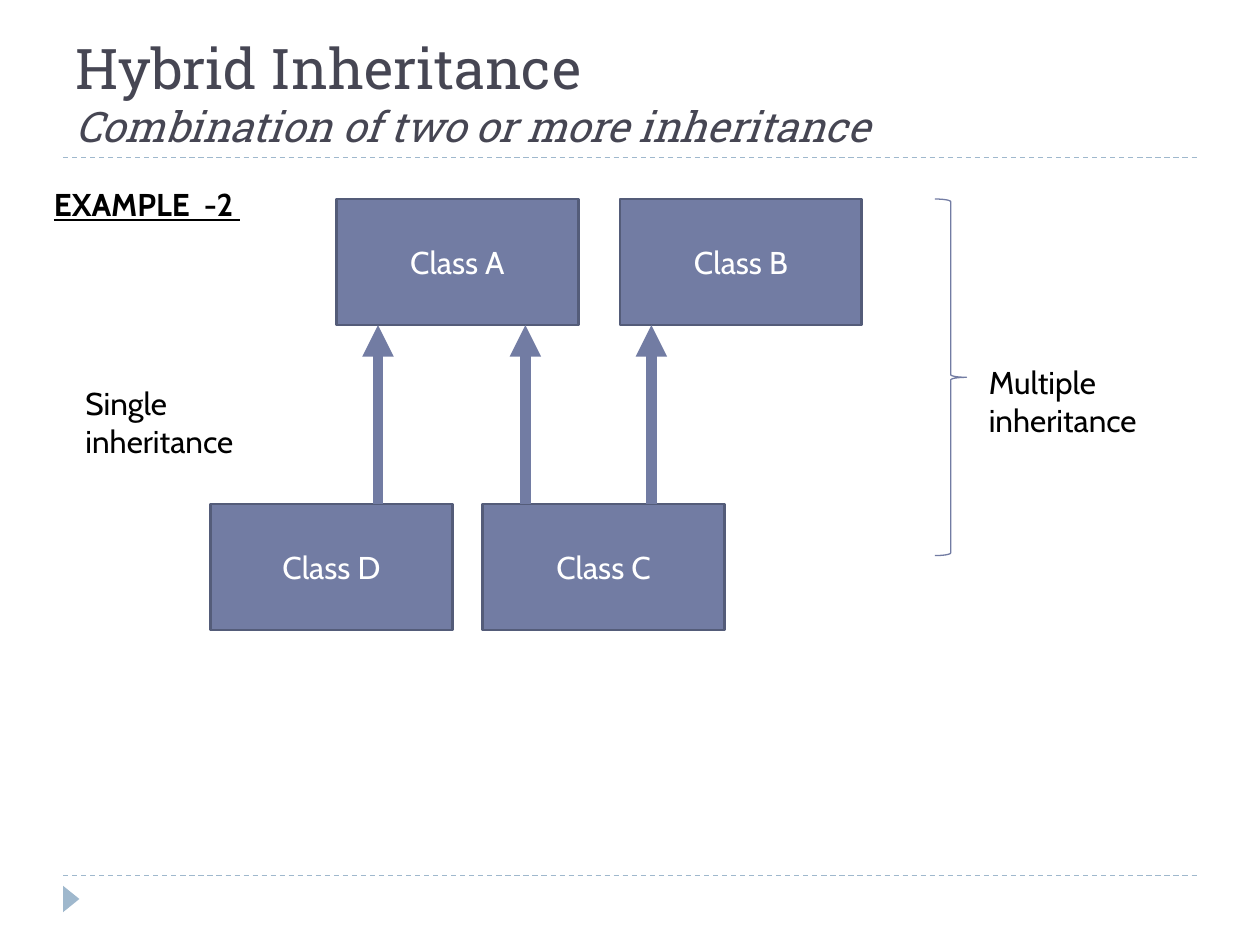
from pptx import Presentation
from pptx.dml.color import RGBColor
from pptx.enum.dml import MSO_LINE
from pptx.enum.shapes import MSO_CONNECTOR, MSO_SHAPE
from pptx.enum.text import MSO_ANCHOR, PP_ALIGN
from pptx.oxml.ns import qn
from pptx.util import Inches, Pt
from lxml import etree

STRAIGHT = MSO_CONNECTOR.STRAIGHT
RECTANGLE = MSO_SHAPE.RECTANGLE
TRIANGLE = MSO_SHAPE.ISOSCELES_TRIANGLE
BRACE = MSO_SHAPE.RIGHT_BRACE
DASH = MSO_LINE.DASH
TOP, MIDDLE, BOTTOM = MSO_ANCHOR.TOP, MSO_ANCHOR.MIDDLE, MSO_ANCHOR.BOTTOM
CENTER = PP_ALIGN.CENTER

COLORS = {"title": "464653", "class": "727CA3", "edge": "545C79",
          "rule": "9FB8CD", "light": "FFFFFF", "dark": "000000"}

BODY = {"name": "Cabin", "size": Pt(18)}
HEADING = {"name": "Roboto Slab", "size": Pt(32)}
SUBHEADING = {"name": "Roboto Slab", "size": Pt(24), "italic": True}
EXAMPLE = {**BODY, "bold": True, "underline": True}

TITLE = [("Hybrid Inheritance", HEADING),
         ("Combination of two or more inheritance", SUBHEADING)]
LABELS = [
    (["Multiple inheritance"], (7.75, 2.83, 2, 0.71), BODY),
    (["Single", "inheritance"], (0.58, 3, 2, 0.71), BODY),
    (["EXAMPLE  -2 "], (0.33, 1.42, 2, 0.4), EXAMPLE),
]
PARENT_TOP, CHILD_TOP = 1.58, 4
CLASS_WIDTH, CLASS_HEIGHT = 1.92, 1
CLASSES = [("Class A", 2.67, PARENT_TOP), ("Class B", 4.92, PARENT_TOP),
           ("Class C", 3.83, CHILD_TOP), ("Class D", 1.67, CHILD_TOP)]
ARROW_XS = [5.17, 4.17, 3]
RULE_YS = [6.95, 1.25]


def rgb(key):
    return RGBColor.from_string(COLORS[key])


def add_run(paragraph, text, font, color):
    run = paragraph.add_run()
    run.text = text
    for attribute, value in font.items():
        setattr(run.font, attribute, value)
    run.font.color.rgb = rgb(color)


def add_shape(slide, kind, place, fill=None, edge=None, weight=0.75):
    shape = slide.shapes.add_shape(kind, *map(Inches, place))
    shape.shadow.inherit = False
    if fill:
        shape.fill.solid()
        shape.fill.fore_color.rgb = rgb(fill)
    else:
        shape.fill.background()
    if edge:
        shape.line.color.rgb = rgb(edge)
        shape.line.width = Pt(weight)
    else:
        shape.line.fill.background()
    return shape


def add_text_frame(slide, place, anchor):
    frame = slide.shapes.add_textbox(*map(Inches, place)).text_frame
    frame.word_wrap = True
    frame.vertical_anchor = anchor
    return frame


def add_line(slide, start, end, color, weight):
    line = slide.shapes.add_connector(STRAIGHT, *map(Inches, start + end))
    line.line.color.rgb = rgb(color)
    line.line.width = Pt(weight)
    etree.SubElement(line._element.spPr, qn("a:effectLst"))
    return line


def main():
    deck = Presentation()
    deck.slide_width, deck.slide_height = Inches(10), Inches(7.5)
    slide = deck.slides.add_slide(deck.slide_layouts[6])

    for y in RULE_YS:
        rule = add_line(slide, (0.5, y), (9.5, y), "rule", 0.75)
        rule.line.dash_style = DASH
    marker = add_shape(slide, TRIANGLE, (0.46, 7.07, 0.21, 0.13), "rule")
    marker.rotation = 90

    heading = add_text_frame(slide, (0.5, 0.17, 9, 1.08), BOTTOM).paragraphs[0]
    for index, (text, font) in enumerate(TITLE):
        if index:
            heading.add_line_break()
        add_run(heading, text, font, "title")

    for name, left, top in CLASSES:
        place = (left, top, CLASS_WIDTH, CLASS_HEIGHT)
        box = add_shape(slide, RECTANGLE, place, "class", "edge", 1.5)
        box.text_frame.vertical_anchor = MIDDLE
        caption = box.text_frame.paragraphs[0]
        caption.alignment = CENTER
        add_run(caption, name, BODY, "light")

    for x in ARROW_XS:
        arrow = add_line(slide, (x, CHILD_TOP), (x, PARENT_TOP + CLASS_HEIGHT), "class", 6)
        etree.SubElement(arrow.line._get_or_add_ln(), qn("a:tailEnd"), type="triangle")

    add_shape(slide, BRACE, (7.42, PARENT_TOP, 0.25, 2.83), edge="class")

    for lines, place, font in LABELS:
        frame = add_text_frame(slide, place, TOP)
        for index, text in enumerate(lines):
            paragraph = frame.add_paragraph() if index else frame.paragraphs[0]
            add_run(paragraph, text, font, "dark")

    deck.save("out.pptx")


if __name__ == "__main__":
    main()
